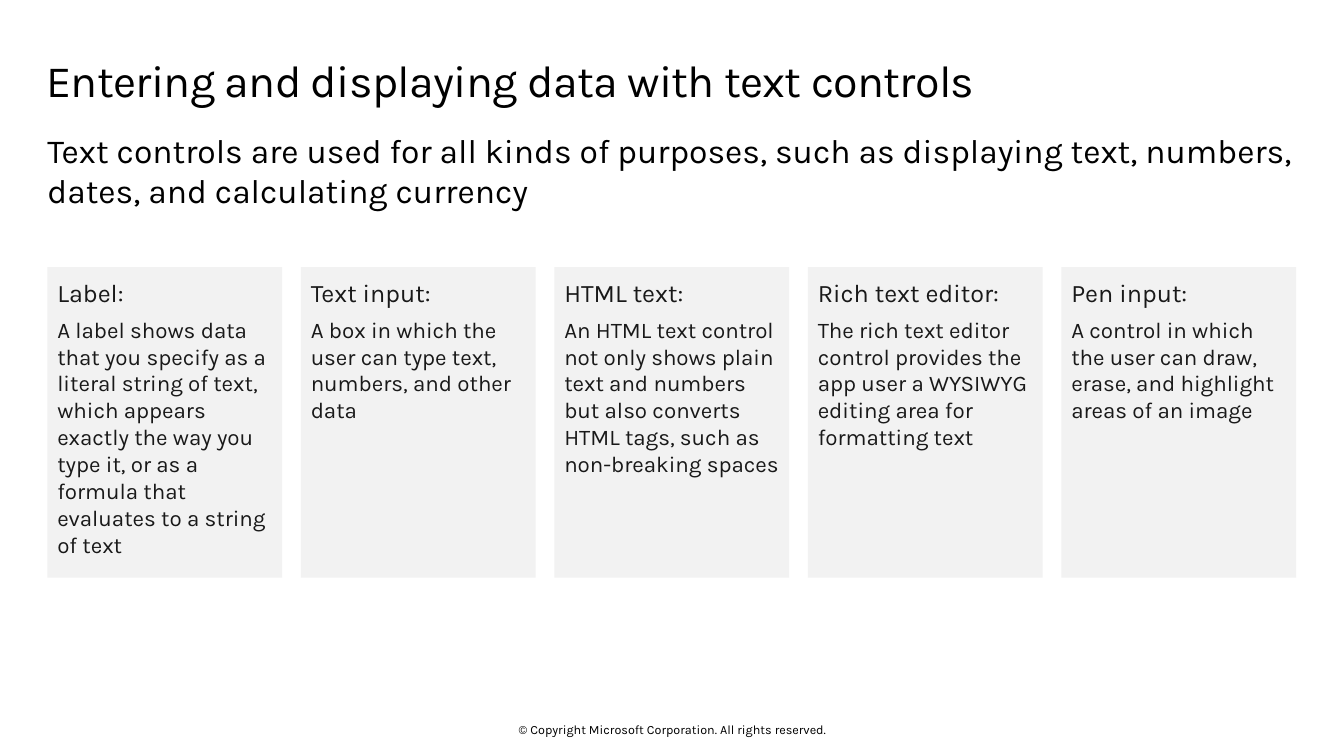
from dataclasses import dataclass

from pptx import Presentation
from pptx.dml.color import RGBColor
from pptx.enum.shapes import MSO_SHAPE as Shape
from pptx.enum.text import MSO_ANCHOR as Anchor, MSO_AUTO_SIZE as Fit, PP_ALIGN as Align
from pptx.util import Pt

FONT = "Karla"
COLORS = {"page": "FFFFFF", "black": "000000", "card": "F2F2F2", "ink": "191919"}

# Card grid
LEFT, TOP = 33.84, 190.8
WIDE, HIGH = 167.76, 221.76
STEP = 181.08


@dataclass
class Card:
    head: str
    body: str


CARDS = [
    Card("Label:", "A label shows data that you specify as a literal string of text, "
         "which appears exactly the way you type it, or as a formula that "
         "evaluates to a string of text"),
    Card("Text input:", "A box in which the user can type text, numbers, and other data"),
    Card("HTML text:", "An HTML text control not only shows plain text and numbers "
         "but also converts HTML tags, such as non-breaking spaces"),
    Card("Rich text editor:", "The rich text editor control provides the app user "
         "a WYSIWYG editing area for formatting text"),
    Card("Pen input:", "A control in which the user can draw, erase, and highlight "
         "areas of an image"),
]


def rgb(name: str) -> RGBColor:
    return RGBColor.from_string(COLORS[name])


def set_frame(frame, pads: tuple, anchor=Anchor.TOP) -> None:
    frame.word_wrap = True
    frame.auto_size = Fit.NONE
    frame.vertical_anchor = anchor
    (frame.margin_left, frame.margin_top,
     frame.margin_right, frame.margin_bottom) = map(Pt, pads)


def write(para, text: str, size: float, color: str = "black", align=Align.LEFT) -> None:
    para.text = text
    para.alignment = align
    font = para.font
    font.name, font.size, font.bold = FONT, Pt(size), False
    font.color.rgb = rgb(color)


def add_text(slide, text: str, box: tuple, size: float,
             align=Align.LEFT, anchor=Anchor.TOP) -> None:
    frame = slide.shapes.add_textbox(*map(Pt, box)).text_frame
    set_frame(frame, (0, 0, 0, 0), anchor)
    write(frame.paragraphs[0], text, size, align=align)


def add_title(slide, text: str) -> None:
    title = slide.shapes.title
    title.left, title.top, title.width, title.height = map(Pt, (33.12, 34.56, 892.8, 53.28))
    frame = title.text_frame
    set_frame(frame, (0, 7.2, 11.52, 7.2))
    para = frame.paragraphs[0]
    write(para, text, 32)
    para.line_spacing = 0.9
    # Tighten letter spacing by half a point
    para.runs[0]._r.get_or_add_rPr().set("spc", "-50")


def add_card(slide, card: Card, left: float) -> None:
    box = slide.shapes.add_shape(Shape.RECTANGLE, *map(Pt, (left, TOP, WIDE, HIGH)))
    box.shadow.inherit = False
    box.fill.solid()
    box.fill.fore_color.rgb = rgb("card")
    box.line.fill.background()
    frame = box.text_frame
    set_frame(frame, (7.2, 7.2, 7.2, 7.2))
    head, body = frame.paragraphs[0], frame.add_paragraph()
    for para, text, size in ((head, card.head, 18), (body, card.body, 16)):
        write(para, text, size, "ink")
        para.space_after = Pt(6)


def main() -> None:
    deck = Presentation()
    deck.slide_width, deck.slide_height = Pt(960), Pt(540)
    slide = deck.slides.add_slide(deck.slide_layouts[5])
    slide.background.fill.solid()
    slide.background.fill.fore_color.rgb = rgb("page")

    # Footer, title and lead
    add_text(slide, "© Copyright Microsoft Corporation. All rights reserved.",
             (318.24, 515.52, 324, 10.8), 9, Align.CENTER, Anchor.MIDDLE)
    add_title(slide, "Entering and displaying data with text controls")
    add_text(slide, "Text controls are used for all kinds of purposes, such as displaying "
             "text, numbers, dates, and calculating currency",
             (LEFT, 92.88, 892.08, 72), 24)

    # Cards
    for i, card in enumerate(CARDS):
        add_card(slide, card, LEFT + i * STEP)

    deck.save("out.pptx")


if __name__ == "__main__":
    main()
